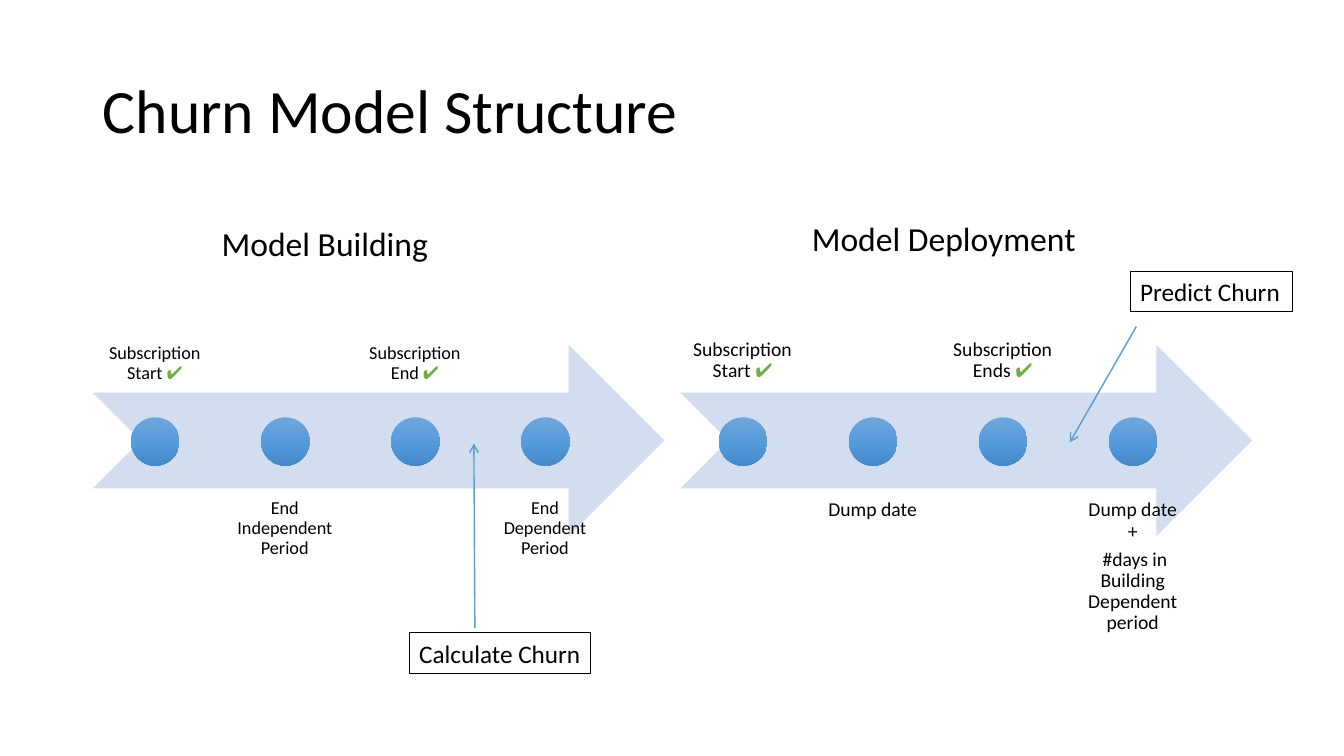
from copy import deepcopy

from lxml import etree
from pptx import Presentation
from pptx.dml.color import RGBColor
from pptx.enum.shapes import MSO_CONNECTOR, MSO_SHAPE
from pptx.enum.text import MSO_ANCHOR, MSO_AUTO_SIZE, PP_ALIGN
from pptx.oxml.ns import qn
from pptx.util import Emu, Pt

LEFT, CENTER = PP_ALIGN.LEFT, PP_ALIGN.CENTER
TOP, MIDDLE, BOTTOM = MSO_ANCHOR.TOP, MSO_ANCHOR.MIDDLE, MSO_ANCHOR.BOTTOM
NO_FIT = MSO_AUTO_SIZE.NONE
ARROW, DOT = MSO_SHAPE.NOTCHED_RIGHT_ARROW, MSO_SHAPE.OVAL
STRAIGHT = MSO_CONNECTOR.STRAIGHT
TITLE_ONLY = 5
CHECK = "✔"
STEP = 129


def px(*sizes):
    """Turn px, 100 to the inch, into EMU."""
    return [Emu(size * 9144) for size in sizes]


def color(code):
    return RGBColor.from_string(code)


class Board:
    font, ink, green = "Calibri", "000000", "70AD47"
    band, line = "D2DEEF", "5B9BD5"
    shades = ((0, "71A6DB"), (0.5, "559BDB"), (1, "448ACA"))

    def __init__(self, slide):
        self.slide = slide
        self.shapes = slide.shapes

    def label(self, frame, text, size, align=LEFT, lead=None):
        """Fill a frame; a check mark gets its own font and colour."""
        lines = text.split("\n")
        for i, line in enumerate(lines):
            para = frame.add_paragraph() if i else frame.paragraphs[0]
            para.alignment = align
            para.line_spacing = lead
            if i < len(lines) - 1:
                para.space_after = Pt(size * 0.35)
            para.font.name = self.font
            para.font.size = Pt(size)
            para.font.color.rgb = color(self.ink)
            words, mark, _ = line.partition(CHECK)
            para.add_run().text = words
            if mark:
                run = para.add_run()
                run.text = mark
                run.font.name = "Arial"
                run.font.color.rgb = color(self.green)

    def title(self, text, box):
        head = self.shapes.title
        head.left, head.top, head.width, head.height = px(*box)
        frame = head.text_frame
        frame.vertical_anchor = MIDDLE
        frame.auto_size = NO_FIT
        self.label(frame, text, 44, lead=0.9)

    def text(self, text, box, size, align=LEFT, anchor=TOP, lead=None, inset=None):
        item = self.shapes.add_textbox(*px(*box))
        frame = item.text_frame
        frame.word_wrap = True
        frame.vertical_anchor = anchor
        if inset:
            frame.margin_left, frame.margin_top = px(inset, inset)
            frame.margin_right, frame.margin_bottom = px(inset, inset)
        self.label(frame, text, size, align, lead)
        return item

    def note(self, text, box):
        item = self.text(text, box, 18)
        item.text_frame.word_wrap = False
        item.line.color.rgb = color(self.ink)
        item.line.width = Pt(0.75)

    def shape(self, kind, box):
        item = self.shapes.add_shape(kind, *px(*box))
        item.shadow.inherit = False
        item.line.fill.background()
        return item

    def arrow(self, box):
        fill = self.shape(ARROW, box).fill
        fill.solid()
        fill.fore_color.rgb = color(self.band)

    def dot(self, left, top):
        item = self.shape(DOT, (left, top, 48, 48))
        item.fill.gradient()
        item.fill.gradient_angle = 270
        stops = item.element.spPr.find(".//" + qn("a:gsLst"))
        stops.insert(1, deepcopy(stops[0]))
        for stop, (place, shade) in zip(item.fill.gradient_stops, self.shades):
            stop.position = place
            stop.color.rgb = color(shade)

    def pointer(self, *ends):
        item = self.shapes.add_connector(STRAIGHT, *px(*ends))
        item.line.color.rgb = color(self.line)
        item.line.width = Pt(1)
        props = item.element.spPr
        etree.SubElement(props.find(qn("a:ln")), qn("a:tailEnd"), type="arrow")
        etree.SubElement(props, qn("a:effectLst"))

    def process(self, left, labels, size, inset):
        """Draw a time arrow with labels in turn above and below its dots."""
        self.arrow((left, 342, 567, 190))
        for i, label in enumerate(labels):
            x = left + i * STEP
            top, anchor = (485, TOP) if i % 2 else (200, BOTTOM)
            self.text(label, (x, top, 123, 190), size, CENTER, anchor, 0.9, inset)
            self.dot(x + 38, 414)


def main():
    deck = Presentation()
    deck.slide_width, deck.slide_height = px(1333, 750)
    board = Board(deck.slides.add_slide(deck.slide_layouts[TITLE_ONLY]))
    board.title("Churn Model Structure", (92, 40, 1150, 145))
    board.process(92, (
        "Subscription Start ✔",
        "End Independent Period",
        "Subscription End ✔",
        "End Dependent Period",
    ), 13, 10)
    board.process(675, (
        "Subscription Start ✔",
        "Dump date",
        "Subscription Ends ✔",
        "Dump date +\n #days in Building Dependent period",
    ), 14, 11)
    board.text("Model Building", (210, 216, 279, 91), 24)
    board.text("Model Deployment", (782, 211, 308, 50), 24, CENTER)
    board.pointer(471, 623, 470, 440)
    board.note("Calculate Churn", (406, 628, 180, 40))
    board.pointer(1127, 324, 1061, 439)
    board.note("Predict Churn", (1121, 269, 161, 40))
    deck.save("out.pptx")


if __name__ == "__main__":
    main()
